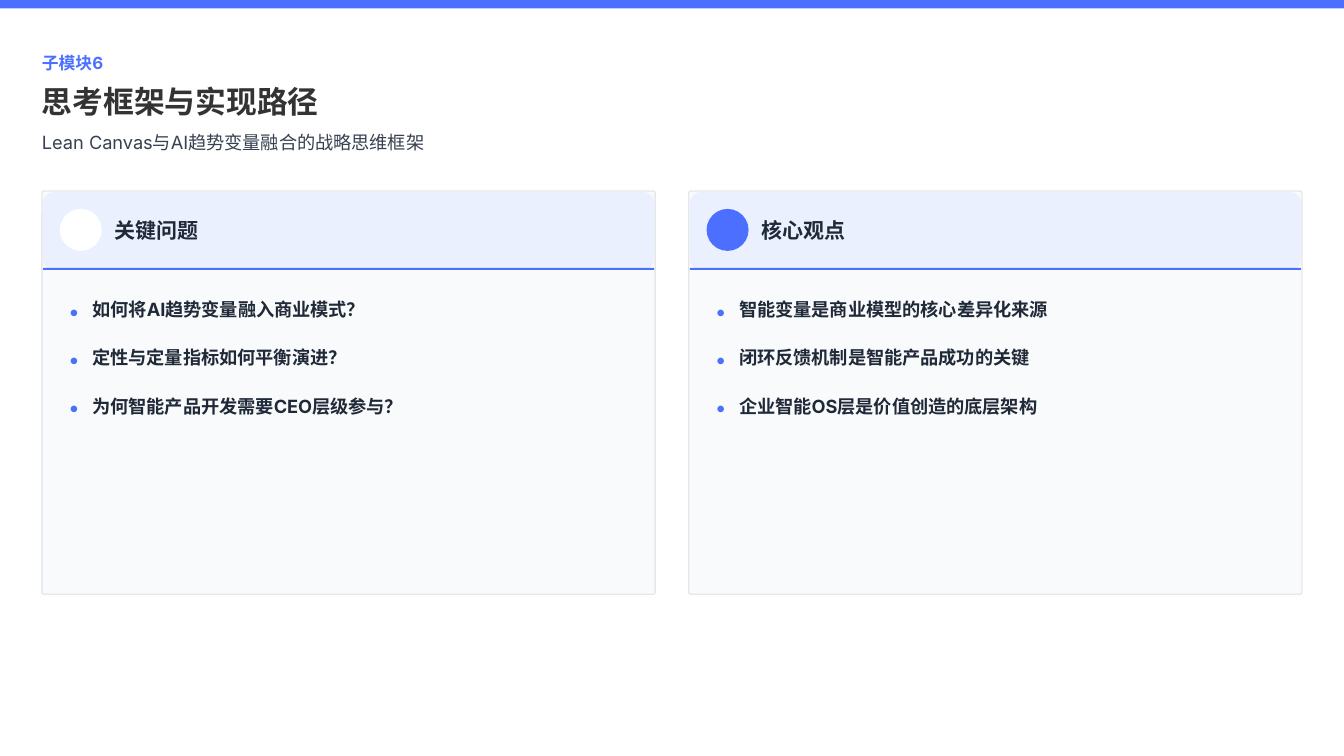
from dataclasses import dataclass

from pptx import Presentation
from pptx import util as u
from pptx.dml import color
from pptx.enum import lang, shapes, text
from pptx.oxml import ns
from lxml import etree

PX = 9525  # EMU in one px
WIDTH, HEIGHT = 1280, 720
MARGIN = 40
CARD_TOP, CARD_HEIGHT, CARD_GAP = 182, 384, 32
ITEM_STEP = 46


@dataclass(frozen=True)
class Theme:
    font: str = "Inter"
    white: str = "FFFFFF"
    accent: str = "4C6FFF"
    title: str = "333333"
    subtitle: str = "374151"
    ink: str = "1F2937"
    card: str = "F9FAFB"
    border: str = "E5E7EB"
    header: str = "EBF0FF"
    label_size: int = 12
    title_size: int = 22
    body_size: int = 13
    heading_size: int = 15


THEME = Theme()

# Each line of text comes with the width of its box
CARDS = [
    ("关键问题", THEME.white, [
        ("如何将AI趋势变量融入商业模式？", 284),
        ("定性与定量指标如何平衡演进？", 266),
        ("为何智能产品开发需要CEO层级参与？", 322),
    ]),
    ("核心观点", THEME.accent, [
        ("智能变量是商业模型的核心差异化来源", 320),
        ("闭环反馈机制是智能产品成功的关键", 301),
        ("企业智能OS层是价值创造的底层架构", 309),
    ]),
]


def px(*lengths):
    return [u.Emu(length * PX) for length in lengths]


def add_block(slide, kind, box, fill, border=None, radius=None):
    shape = slide.shapes.add_shape(kind, *px(*box))
    shape.shadow.inherit = False
    shape.fill.solid()
    shape.fill.fore_color.rgb = color.RGBColor.from_string(fill)
    if border:
        shape.line.color.rgb = color.RGBColor.from_string(border)
        shape.line.width = u.Pt(1)
    else:
        shape.line.fill.background()
    if radius is not None:
        shape.adjustments[0] = radius
    return shape


def add_text(slide, box, words, size, ink, bold=False):
    shape = slide.shapes.add_textbox(*px(*box))
    frame = shape.text_frame
    frame.word_wrap = True
    frame.vertical_anchor = text.MSO_ANCHOR.MIDDLE
    frame.margin_left = frame.margin_right = 0
    frame.margin_top = frame.margin_bottom = 0
    run = frame.paragraphs[0].add_run()
    run.text = words
    font = run.font
    font.name, font.size, font.bold = THEME.font, u.Pt(size), bold
    font.color.rgb = color.RGBColor.from_string(ink)
    font.language_id = lang.MSO_LANGUAGE_ID.SIMPLIFIED_CHINESE
    # East Asian typeface
    properties = run._r.get_or_add_rPr()
    etree.SubElement(properties, ns.qn("a:ea"), typeface=THEME.font)
    return shape


def add_backdrop(slide, width, height):
    kind = shapes.MSO_SHAPE.RECTANGLE
    add_block(slide, kind, (0, 0, width, height), THEME.white)
    add_block(slide, kind, (0, 0, width, 8), THEME.accent)


def add_heading(slide, left, top):
    add_text(slide, (left, top, 74, 20), "子模块6",
             THEME.label_size, THEME.accent, bold=True)
    add_text(slide, (left, top + 28, 293, 36), "思考框架与实现路径",
             THEME.title_size, THEME.title, bold=True)
    add_text(slide, (left, top + 75, 394, 21),
             "Lean Canvas与AI趋势变量融合的战略思维框架",
             THEME.body_size, THEME.subtitle)


def add_card(slide, box, heading, dot, items):
    left, top, width, height = box
    rounded = shapes.MSO_SHAPE.ROUNDED_RECTANGLE

    # Panel, header band and rule
    add_block(slide, rounded, box, THEME.card, THEME.border, radius=0.005)
    add_block(slide, rounded, (left + 1, top + 1, width - 2, 74),
              THEME.header, radius=0.14)
    add_block(slide, shapes.MSO_SHAPE.RECTANGLE,
              (left + 1, top + 73, width - 2, 2), THEME.accent)

    # Dot and heading
    add_block(slide, shapes.MSO_SHAPE.OVAL, (left + 17, top + 17, 40, 40), dot)
    add_text(slide, (left + 69, top + 25, 95, 24), heading,
             THEME.heading_size, THEME.ink, bold=True)

    # Bulleted items
    for row, (words, item_width) in enumerate(items):
        item_top = top + 102 + row * ITEM_STEP
        add_text(slide, (left + 25, item_top, 27, 24), "•",
                 THEME.heading_size, THEME.accent)
        add_text(slide, (left + 48, item_top, item_width, 21), words,
                 THEME.body_size, THEME.ink, bold=True)


def main():
    presentation = Presentation()
    presentation.slide_width, presentation.slide_height = px(WIDTH, HEIGHT)
    slide = presentation.slides.add_slide(presentation.slide_layouts[6])

    add_backdrop(slide, WIDTH, HEIGHT)
    add_heading(slide, MARGIN, 50)

    # Two equal cards across the slide
    card_width = (WIDTH - 2 * MARGIN - CARD_GAP) // len(CARDS)
    for column, (heading, dot, items) in enumerate(CARDS):
        left = MARGIN + column * (card_width + CARD_GAP)
        add_card(slide, (left, CARD_TOP, card_width, CARD_HEIGHT),
                 heading, dot, items)

    presentation.save("out.pptx")


if __name__ == "__main__":
    main()
